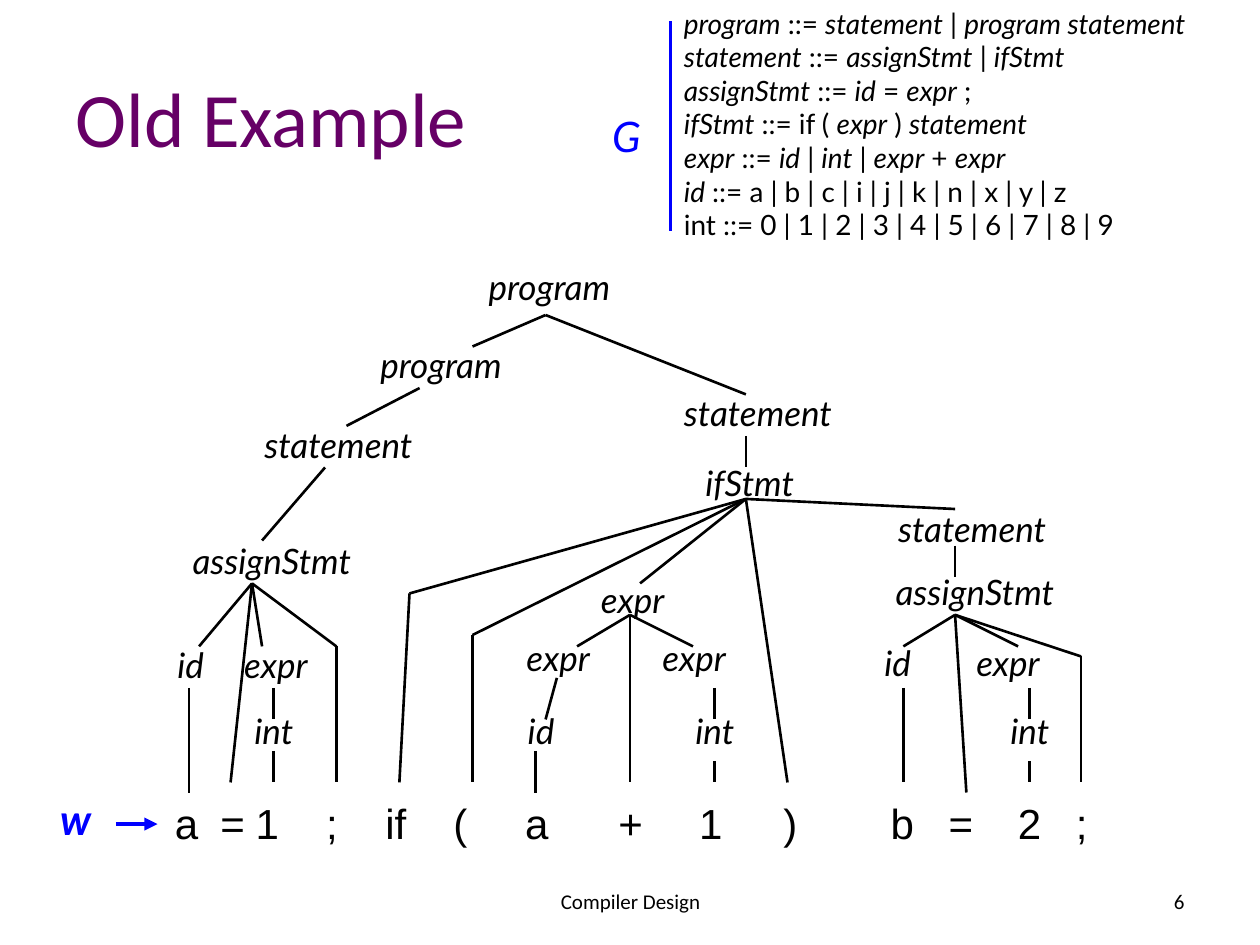
from itertools import pairwise
from lxml.etree import SubElement
from pptx import Presentation
from pptx.dml.color import RGBColor
from pptx.enum.shapes import MSO_CONNECTOR
from pptx.enum.text import MSO_ANCHOR, PP_ALIGN
from pptx.oxml.ns import qn
from pptx.util import Inches, Pt

BLACK = RGBColor(0, 0, 0)
WHITE = RGBColor(255, 255, 255)
BLUE = RGBColor(0, 0, 255)
PURPLE = RGBColor(0x66, 0, 0x66)

TITLE = "Old Example"
GRAMMAR = [
    "*program* ::= *statement* | *program statement*",
    "*statement* ::= *assignStmt* | *ifStmt*",
    "*assignStmt* ::= *id* = *expr* ;",
    "*ifStmt* ::= if ( *expr* ) *statement*",
    "*expr* ::= *id* | *int* | *expr* + *expr*",
    "*id* ::= a | b | c | i | j | k | n | x | y | z",
    "int ::= 0 | 1 | 2 | 3 | 4 | 5 | 6 | 7 | 8 | 9",
]
TOKENS = [
    ("a", 1.39), ("=", 1.75), ("1", 2.03), (";", 2.59), ("if", 3.06),
    ("(", 3.6), ("a", 4.17), ("+", 4.91), ("1", 5.55), (")", 6.22),
    ("b", 7.07), ("=", 7.53), ("2", 8.08), (";", 8.54),
]
NODE_WIDTHS = {"program": 1.33, "statement": 1.53, "ifStmt": 1.02,
               "assignStmt": 1.64, "expr": 0.83, "id": 0.66, "int": 0.66}
NODES = [
    ("program", 3.78, 2.06), ("program", 2.92, 2.68),
    ("statement", 2, 3.31), ("statement", 5.33, 3.06),
    ("ifStmt", 5.5, 3.61), ("assignStmt", 1.43, 4.23),
    ("statement", 7.03, 3.98), ("assignStmt", 7.01, 4.48),
    ("expr", 4.67, 4.54), ("expr", 4.08, 5), ("expr", 5.16, 5),
    ("id", 1.31, 5.06), ("expr", 1.84, 5.06),
    ("id", 6.92, 5.04), ("expr", 7.65, 5.04),
    ("int", 1.92, 5.58), ("id", 4.09, 5.58),
    ("int", 5.42, 5.58), ("int", 7.92, 5.58),
]
BRANCHES = {
    (4.33, 2.5): [[(3.75, 2.75)], [(5.92, 3.13)]],
    (3.33, 3.08): [[(2.75, 3.38)]],
    (2.58, 3.71): [[(2.08, 4.29)]],
    (2, 4.63): [[(1.58, 5.13)], [(1.83, 6.21)], [(2.08, 5.13)],
                [(2.67, 5.13), (2.67, 6.21)]],
    (5.92, 3.96): [[(3.25, 4.71), (3.17, 6.21)], [(3.75, 5.04), (3.75, 6.21)],
                   [(5.08, 4.63)], [(6.25, 6.21)], [(7.58, 4.04)]],
    (7.58, 4.88): [[(7.17, 5.13)], [(7.67, 6.29)], [(8.08, 5.13)],
                   [(8.58, 5.21), (8.58, 6.21)]],
    (5, 4.88): [[(4.58, 5.13)], [(5.5, 5.13)], [(5, 6.21)]],
    (4.42, 5.38): [[(4.33, 5.71)]],
}
STEMS = [
    (1.5, 5.46, 6.29), (2.17, 5.46, 5.71), (2.17, 5.96, 6.21),
    (5.92, 3.46, 3.71), (7.58, 4.33, 4.58), (7.17, 5.46, 6.21),
    (8.17, 5.46, 5.71), (8.17, 6.04, 6.21), (4.25, 5.96, 6.29),
    (5.67, 5.46, 5.71), (5.67, 6.04, 6.21),
]

presentation = Presentation()
presentation.slide_width, presentation.slide_height = Inches(10), Inches(7.5)
slide = presentation.slides.add_slide(presentation.slide_layouts[5])


def write(shape, text, size=20, font="Lato", color=BLACK, bold=False,
          italic=False, align=PP_ALIGN.LEFT, anchor=MSO_ANCHOR.TOP):
    frame = shape.text_frame
    frame.word_wrap = True
    frame.vertical_anchor = anchor
    for number, line in enumerate(text.split("\n")):
        paragraph = frame.add_paragraph() if number else frame.paragraphs[0]
        paragraph.alignment = align
        for index, part in enumerate(line.split("*")):
            if part:
                run = paragraph.add_run()
                run.text = part
                run.font.size = Pt(size)
                run.font.name = font
                run.font.color.rgb = color
                run.font.bold = bold
                run.font.italic = italic or index % 2 == 1
    return shape


def add_text(text, left, top, width, height=0.44, **text_format):
    box = slide.shapes.add_textbox(
        Inches(left), Inches(top), Inches(width), Inches(height))
    return write(box, text, **text_format)


def add_line(start, end, color=BLACK, width=1.5, arrow=False):
    line = slide.shapes.add_connector(
        MSO_CONNECTOR.STRAIGHT, *(Inches(value) for value in start + end))
    line.line.color.rgb = color
    line.line.width = Pt(width)
    if arrow:
        SubElement(line.line._get_or_add_ln(), qn("a:tailEnd"), type="triangle")
    SubElement(line._element.spPr, qn("a:effectLst"))


def set_tab_stops(paragraph, positions):
    tab_list = SubElement(paragraph._p.get_or_add_pPr(), qn("a:tabLst"))
    for position in positions:
        SubElement(tab_list, qn("a:tab"), pos=str(Inches(position)), algn="l")


title = slide.shapes.title
title.left, title.top = Inches(0.5), Inches(0.3)
title.width, title.height = Inches(9), Inches(1.25)
write(title, TITLE, size=44, font="Calibri", color=PURPLE, anchor=MSO_ANCHOR.MIDDLE)

sentence_left = 0.75
sentence = add_text("".join("\t" + token for token, left in TOKENS),
                    sentence_left, 6.28, 8.83, 0.83, size=24, font="Arial")
set_tab_stops(sentence.text_frame.paragraphs[0],
              [left - sentence_left - 0.1 for token, left in TOKENS])

footer = {"size": 12, "font": "Calibri", "anchor": MSO_ANCHOR.MIDDLE}
add_text("Compiler Design", 3.42, 6.95, 3.17, 0.4, align=PP_ALIGN.CENTER, **footer)
add_text("6", 7.17, 6.95, 2.33, 0.4, align=PP_ALIGN.RIGHT, **footer)

grammar = add_text("\n".join(GRAMMAR), 5.33, 0, 4.67, 2.26, size=16)
grammar.fill.solid()
grammar.fill.fore_color.rgb = WHITE

for name, left, top in NODES:
    add_text(name, left, top, NODE_WIDTHS[name], italic=True)

for apex, branches in BRANCHES.items():
    for branch in branches:
        for start, end in pairwise([apex, *branch]):
            add_line(start, end)
for x, top, bottom in STEMS:
    add_line((x, top), (x, bottom))

symbol = {"size": 24, "color": BLUE, "italic": True}
add_text("G", 4.76, 0.83, 0.53, 0.5, **symbol)
add_text("w", 0.38, 6.25, 0.6, 0.5, bold=True, **symbol)
add_line((0.92, 6.54), (1.25, 6.54), BLUE, 2.5, arrow=True)
add_line((5.32, 0.17), (5.32, 1.83), BLUE)

presentation.save("out.pptx")
